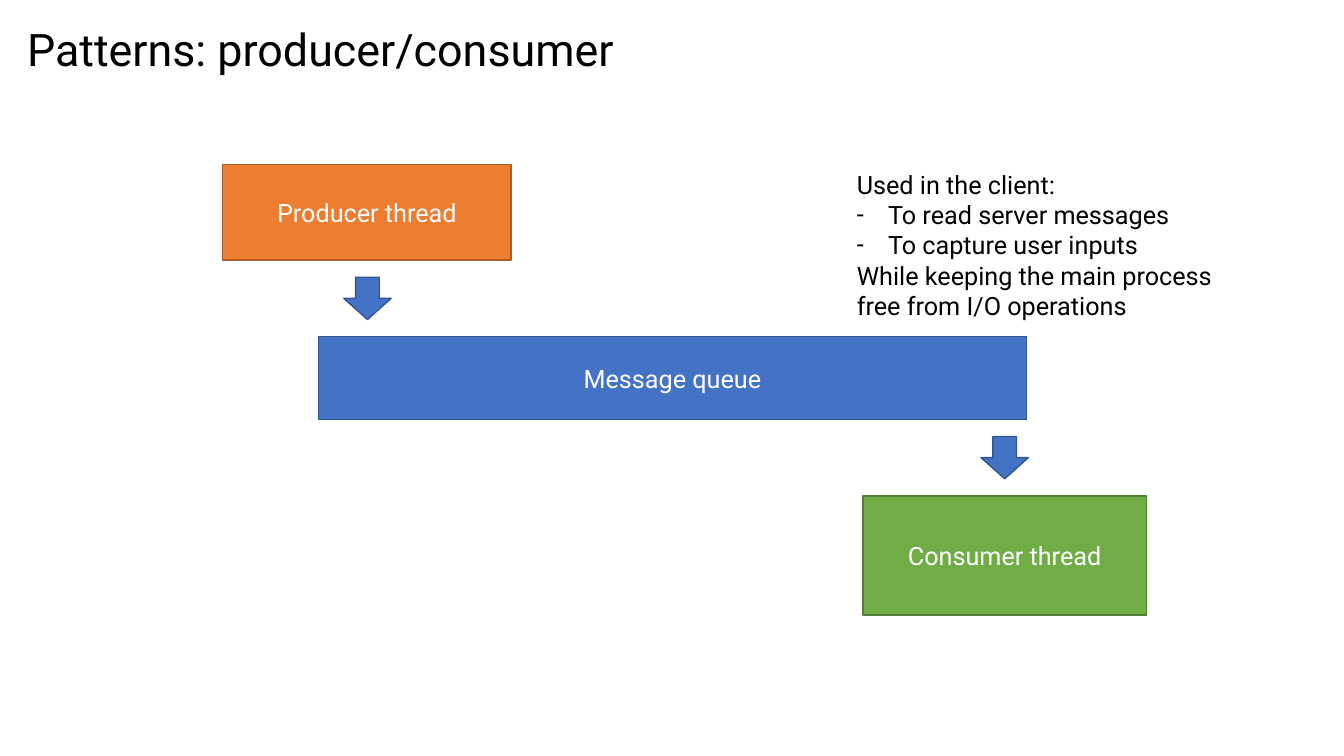
from lxml import etree
from pptx import Presentation
from pptx.dml.color import RGBColor
from pptx.enum.shapes import MSO_SHAPE
from pptx.enum.text import MSO_ANCHOR, PP_ALIGN
from pptx.oxml.ns import qn
from pptx.util import Pt

RECT = MSO_SHAPE.RECTANGLE
DOWN_ARROW = MSO_SHAPE.DOWN_ARROW
MIDDLE = MSO_ANCHOR.MIDDLE
CENTER = PP_ALIGN.CENTER

EMU_PER_PX = 9144  # 100 px to the inch
FONT = "Roboto"
BLACK, WHITE = "000000", "FFFFFF"
BLUE, DARK_BLUE = "4472C4", "325491"
ORANGE, DARK_ORANGE = "ED7D31", "AF5C24"
GREEN, DARK_GREEN = "70AD47", "538035"
HANG = 31

NOTE = [
    ("Used in the client:", False),
    ("To read server messages", True),
    ("To capture user inputs", True),
    ("While keeping the main process", False),
    ("free from I/O operations", False),
]


def px(*lengths):
    """Turn px lengths into a list of EMU values."""
    return [n * EMU_PER_PX for n in lengths]


def rgb(color):
    return RGBColor.from_string(color)


def add_run(p, text, size, color):
    r = p.add_run()
    r.text = text
    r.font.name = FONT
    r.font.size = Pt(size)
    r.font.color.rgb = rgb(color)


def add_dash(p):
    """Give a paragraph a hanging dash bullet."""
    hang, = px(HANG)
    pPr = p._p.get_or_add_pPr()
    pPr.set("marL", str(hang))
    pPr.set("indent", str(-hang))
    etree.SubElement(pPr, qn("a:buFont")).set("typeface", FONT)
    etree.SubElement(pPr, qn("a:buChar")).set("char", "-")


def add_text(slide, box, lines, size):
    """Add a text box; each line is a pair of text and whether it is bulleted."""
    tf = slide.shapes.add_textbox(*px(*box)).text_frame
    tf.word_wrap = True
    for i, (text, bulleted) in enumerate(lines):
        p = tf.paragraphs[0] if i == 0 else tf.add_paragraph()
        if bulleted:
            add_dash(p)
        add_run(p, text, size, BLACK)


def add_block(slide, kind, box, fill, line):
    sp = slide.shapes.add_shape(kind, *px(*box))
    sp.shadow.inherit = False
    sp.fill.solid()
    sp.fill.fore_color.rgb = rgb(fill)
    sp.line.color.rgb = rgb(line)
    sp.line.width = Pt(1)
    return sp


def add_labelled_box(slide, box, text, fill, line):
    tf = add_block(slide, RECT, box, fill, line).text_frame
    tf.word_wrap = True
    tf.vertical_anchor = MIDDLE
    p = tf.paragraphs[0]
    p.alignment = CENTER
    add_run(p, text, 18, WHITE)


def add_down_arrow(slide, left, top):
    add_block(slide, DOWN_ARROW, (left, top, 47, 42), BLUE, DARK_BLUE)


def main():
    prs = Presentation()
    prs.slide_width, prs.slide_height = px(1333, 750)
    slide = prs.slides.add_slide(prs.slide_layouts[6])

    add_text(slide, (17, 17, 1073, 64), [("Patterns: producer/consumer", False)], 32)
    add_labelled_box(slide, (316, 334, 702, 82), "Message queue", BLUE, DARK_BLUE)
    add_labelled_box(slide, (221, 163, 286, 95), "Producer thread", ORANGE, DARK_ORANGE)
    add_labelled_box(slide, (856, 492, 281, 118), "Consumer thread", GREEN, DARK_GREEN)
    add_down_arrow(slide, 341, 275)
    add_down_arrow(slide, 973, 433)
    add_text(slide, (840, 163, 387, 162), NOTE, 18)

    prs.save("out.pptx")


if __name__ == "__main__":
    main()
